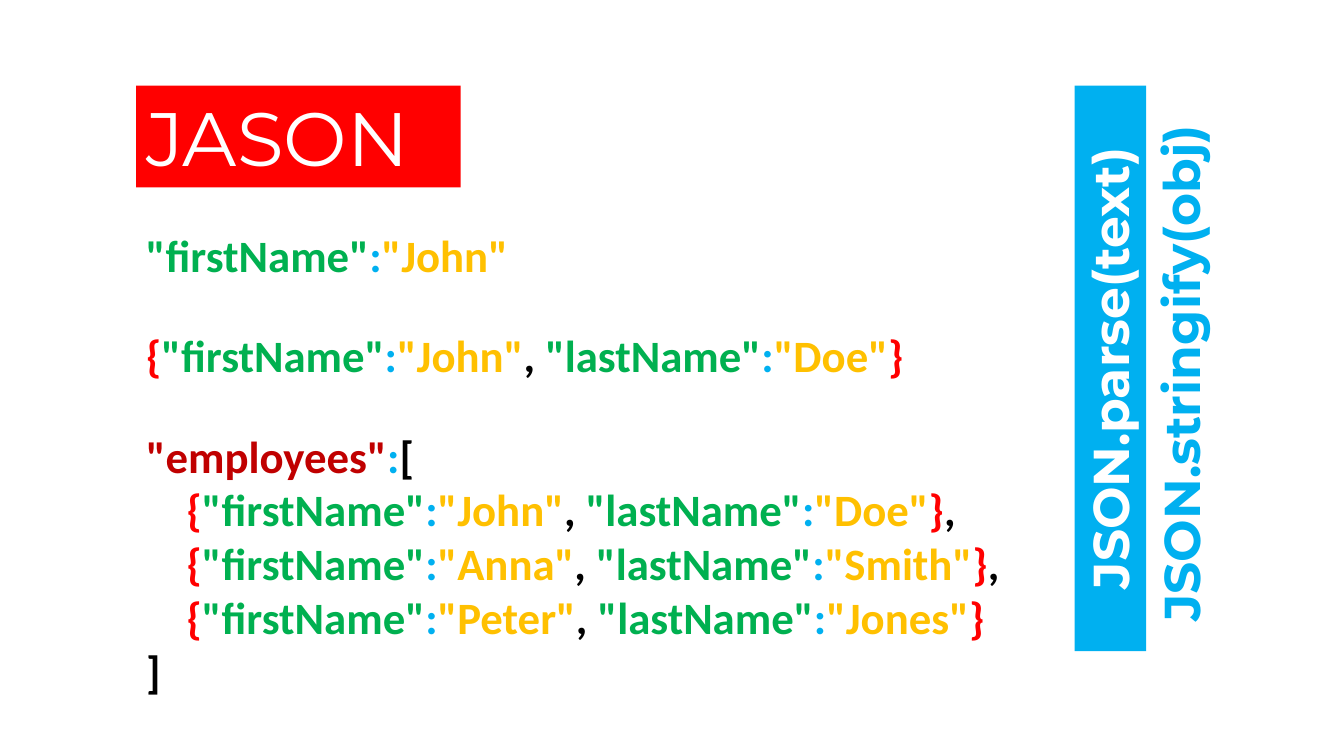
"""Build a slide that shows JSON syntax beside its parse and stringify calls."""
from pptx import Presentation
from pptx.dml.color import RGBColor
from pptx.enum.shapes import MSO_SHAPE
from pptx.enum.text import MSO_ANCHOR, PP_ALIGN
from pptx.util import Pt

RED = RGBColor(0xFF, 0x00, 0x00)
DARK_RED = RGBColor(0xC0, 0x00, 0x00)
GREEN = RGBColor(0x00, 0xB0, 0x50)
BLUE = RGBColor(0x00, 0xB0, 0xF0)
GOLD = RGBColor(0xFF, 0xC0, 0x00)
BLACK = RGBColor(0x00, 0x00, 0x00)
WHITE = RGBColor(0xFF, 0xFF, 0xFF)

TITLE = "JASON"
EMPLOYEES = [("John", "Doe"), ("Anna", "Smith"), ("Peter", "Jones")]
INDENT = "    "
CALLS = [
    ("JSON.parse(text)", WHITE, BLUE, (591.1, 237.6, 404, 51.1)),
    ("JSON.stringify(obj)", BLUE, None, (645.1, 241.2, 397.4, 51.1)),
]
LEFT = 97.2


def pair(key, value):
    return [(f'"{key}"', GREEN), (":", BLUE), (f'"{value}"', GOLD)]


def record(first, last):
    return [("{", RED), *pair("firstName", first), (", ", BLACK),
            *pair("lastName", last), ("}", RED)]


def employee_list():
    lines = [[('"employees"', DARK_RED), (":", BLUE), ("[", BLACK)]]
    for number, employee in enumerate(EMPLOYEES, 1):
        comma = [(",", BLACK)] if number < len(EMPLOYEES) else []
        lines.append([(INDENT, BLACK), *record(*employee), *comma])
    return lines + [[("]", BLACK)]]


def place(shape, bounds):
    shape.left, shape.top, shape.width, shape.height = map(Pt, bounds)


def write(box, lines, font, size, bold, align=PP_ALIGN.LEFT, wrap=True):
    frame = box.text_frame
    frame.word_wrap = wrap
    for index, spans in enumerate(lines):
        para = frame.add_paragraph() if index else frame.paragraphs[0]
        para.alignment = align
        for text, color in spans:
            span = para.add_run()
            span.text = text
            span.font.name = font
            span.font.size = Pt(size)
            span.font.bold = bold
            span.font.color.rgb = color


def main():
    deck = Presentation()
    deck.slide_width, deck.slide_height = Pt(960), Pt(540)
    page = deck.slides.add_slide(deck.slide_layouts[5])

    title = page.shapes.title
    place(title, (LEFT, 61.2, 231.8, 72.7))
    title.fill.solid()
    title.fill.fore_color.rgb = RED
    title.text_frame.vertical_anchor = MSO_ANCHOR.MIDDLE
    write(title, [[(TITLE, WHITE)]], "Montserrat", 54, False)

    samples = [
        ([pair("firstName", EMPLOYEES[0][0])], (LEFT, 159.1, 275.8, 46), False),
        ([record(*EMPLOYEES[0])], (LEFT, 230.4, 560.2, 46), False),
        (employee_list(), (LEFT, 302.4, 719.3, 200.9), True),
    ]
    for lines, bounds, wrap in samples:
        box = page.shapes.add_textbox(*map(Pt, bounds))
        write(box, lines, "Calibri", 32, True, wrap=wrap)

    for text, color, fill, bounds in CALLS:
        if fill is None:
            box = page.shapes.add_textbox(*map(Pt, bounds))
        else:
            box = page.shapes.add_shape(MSO_SHAPE.RECTANGLE, *map(Pt, bounds))
            box.shadow.inherit = False
            box.fill.solid()
            box.fill.fore_color.rgb = fill
            box.line.fill.background()
        box.rotation = 270
        box.text_frame.vertical_anchor = MSO_ANCHOR.TOP
        write(box, [[(text, color)]], "Montserrat", 36, True, PP_ALIGN.CENTER)

    deck.save("out.pptx")


if __name__ == "__main__":
    main()
